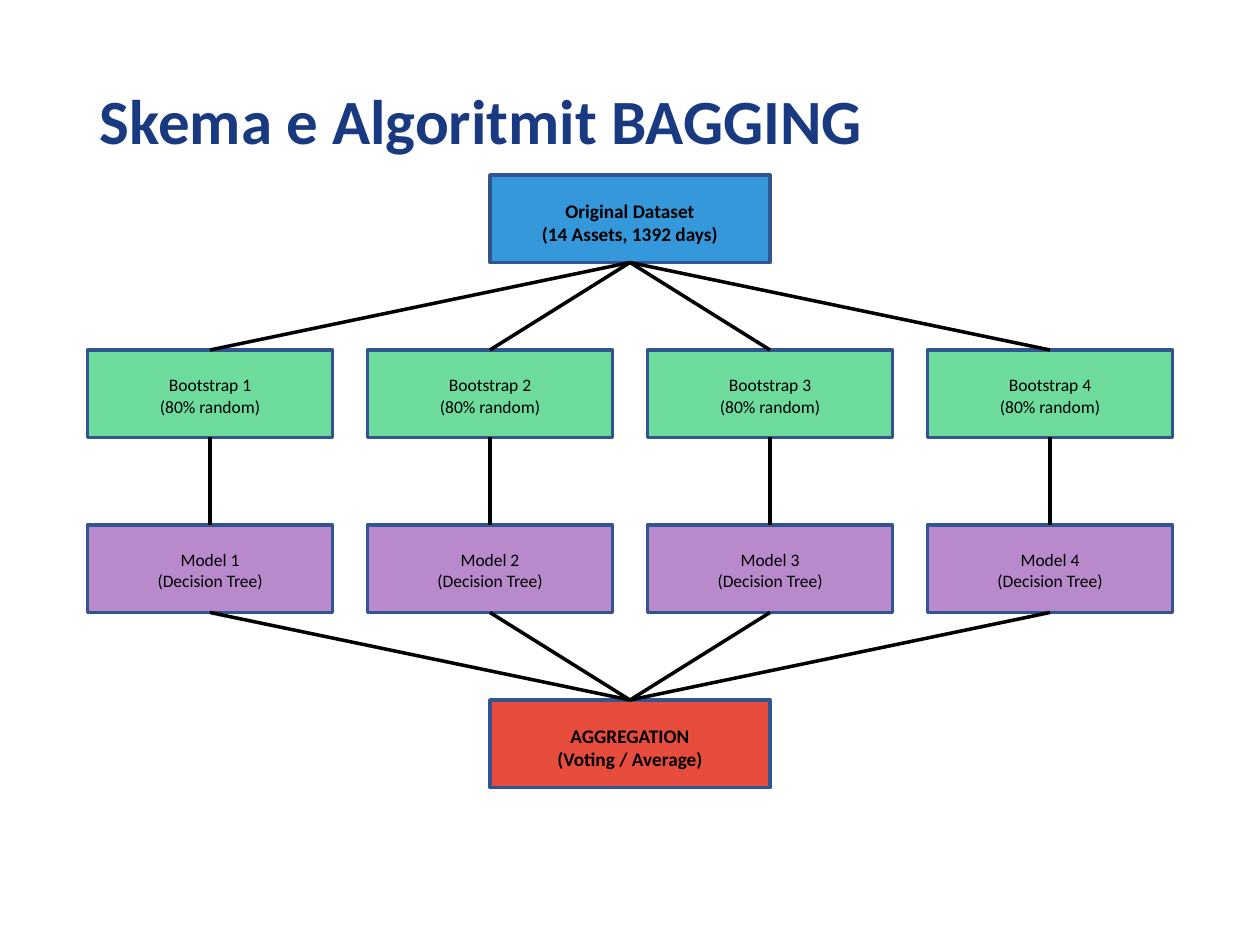
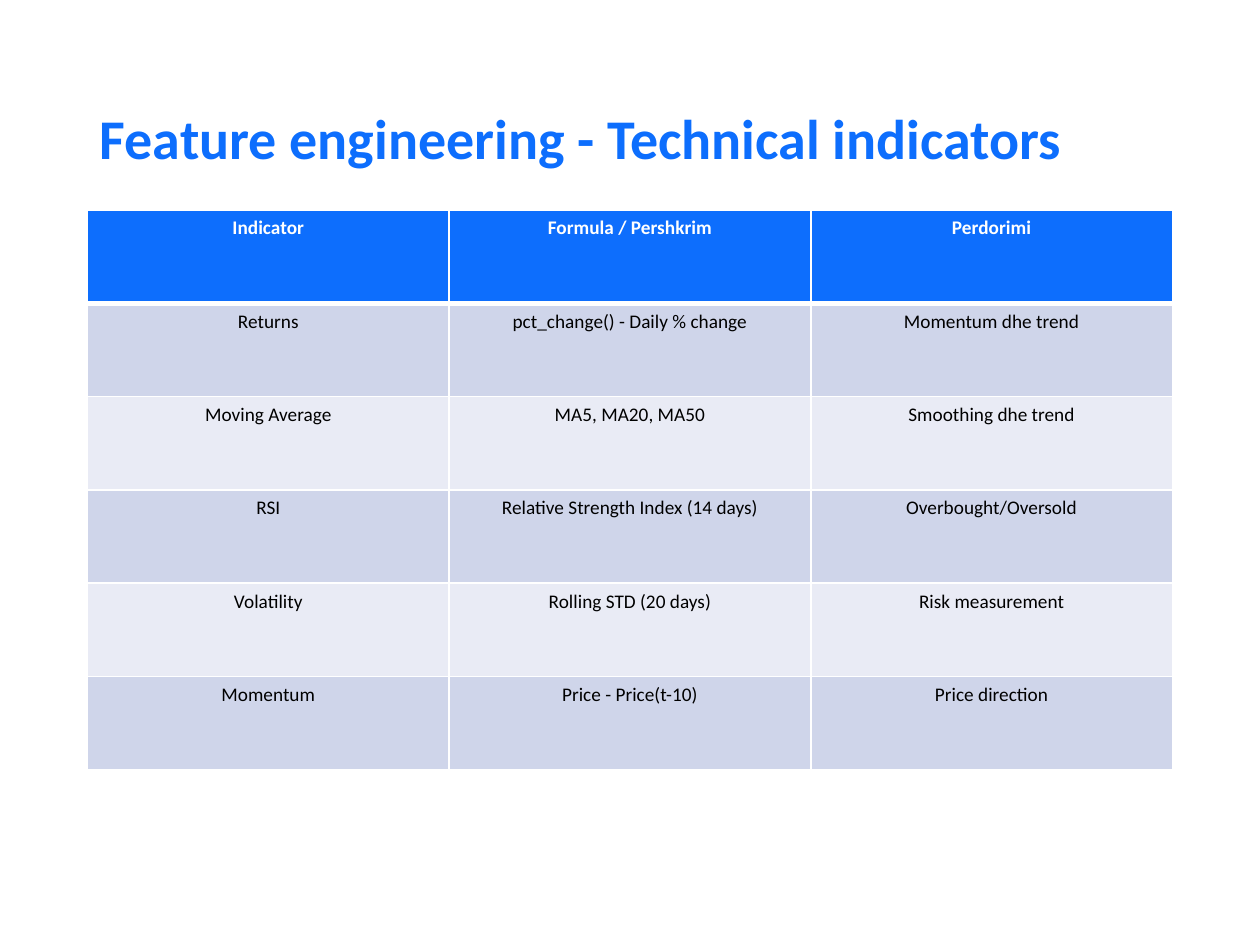
"""Builds two slides: the bagging scheme and the table of technical indicators."""
import pptx
import pptx.dml.color
import pptx.enum.shapes
import pptx.enum.text
import pptx.oxml
import pptx.oxml.ns
import pptx.util

EMU_PER_PX = 12700
FONT = "Calibri"
BLACK, WHITE = "000000", "FFFFFF"
NAVY, BLUE, OUTLINE = "193A80", "0D6EFD", "325491"
SKY, GREEN, PURPLE, RED = "3498DB", "2ECC71", "9B59B6", "E74C3C"
BAND_DARK, BAND_LIGHT = "CFD5EA", "E9EBF5"
MARGIN, CONTENT_WIDTH = 50, 620
TOP, BOTTOM = 0, 2
ROW_TOPS = (100, 200, 300, 400)
BOX_HEIGHT, BRANCH_WIDTH, BRANCH_STEP, BRANCHES = 50, 140, 160, 4
HUB_LEFT, HUB_WIDTH = 280, 160
INDICATORS = (
    ("Indicator", "Formula / Pershkrim", "Perdorimi"),
    ("Returns", "pct_change() - Daily % change", "Momentum dhe trend"),
    ("Moving Average", "MA5, MA20, MA50", "Smoothing dhe trend"),
    ("RSI", "Relative Strength Index (14 days)", "Overbought/Oversold"),
    ("Volatility", "Rolling STD (20 days)", "Risk measurement"),
    ("Momentum", "Price - Price(t-10)", "Price direction"),
)


def px(length):
    return pptx.util.Emu(round(length * EMU_PER_PX))


def color(code):
    return pptx.dml.color.RGBColor.from_string(code)


def fill_solid(target, code, opacity=100):
    target.fill.solid()
    target.fill.fore_color.rgb = color(code)
    if opacity < 100:
        tint = target.fill._xPr.find(".//" + pptx.oxml.ns.qn("a:srgbClr"))
        alpha = pptx.oxml.parse_xml(f'<a:alpha {pptx.oxml.ns.nsdecls("a")} val="{opacity * 1000}"/>')
        tint.append(alpha)


def write(frame, lines, size, code, bold=False, centered=True):
    frame.word_wrap = True
    frame.text = "\n".join(lines)
    for para in frame.paragraphs:
        font = para.font
        font.name, font.size, font.bold = FONT, pptx.util.Pt(size), bold
        font.color.rgb = color(code)
        align = pptx.enum.text.PP_ALIGN
        para.alignment = align.CENTER if centered else align.LEFT


def add_title(page, text, top, size, code):
    box = page.shapes.add_textbox(px(MARGIN), px(top), px(CONTENT_WIDTH), px(104))
    write(box.text_frame, [text], size, code, bold=True, centered=False)
    box.text_frame.vertical_anchor = pptx.enum.text.MSO_ANCHOR.MIDDLE
    box.text_frame.paragraphs[0].line_spacing = 0.9


def add_box(page, left, top, width, lines, fill, size=10, bold=False, opacity=100):
    box = page.shapes.add_shape(pptx.enum.shapes.MSO_SHAPE.RECTANGLE,
                                px(left), px(top), px(width), px(BOX_HEIGHT))
    box.shadow.inherit = False
    fill_solid(box, fill, opacity)
    box.line.color.rgb = color(OUTLINE)
    box.line.width = pptx.util.Pt(2)
    frame = box.text_frame
    frame.vertical_anchor = pptx.enum.text.MSO_ANCHOR.TOP
    frame.margin_top, frame.margin_bottom = px(14), px(0)
    write(frame, lines, size, BLACK, bold)
    return box


def add_hub(page, top, lines, fill):
    return add_box(page, HUB_LEFT, top, HUB_WIDTH, lines, fill, size=11, bold=True)


def join(page, upper, lower):
    line = page.shapes.add_connector(pptx.enum.shapes.MSO_CONNECTOR.STRAIGHT, 0, 0, 0, 0)
    line.begin_connect(upper, BOTTOM)
    line.end_connect(lower, TOP)
    line.line.color.rgb = color(BLACK)
    line.line.width = pptx.util.Pt(2)
    line._element.spPr.append(pptx.oxml.parse_xml(f'<a:effectLst {pptx.oxml.ns.nsdecls("a")}/>'))


def set_borders(cell, bottom_width):
    properties = cell._tc.get_or_add_tcPr()
    for side, width in (("L", 1), ("R", 1), ("T", 1), ("B", bottom_width)):
        properties.append(pptx.oxml.parse_xml(
            f'<a:ln{side} {pptx.oxml.ns.nsdecls("a")} w="{pptx.util.Pt(width)}">'
            f'<a:solidFill><a:srgbClr val="{WHITE}"/></a:solidFill></a:ln{side}>'))


def add_table(page, rows, top, height):
    table = page.shapes.add_table(len(rows), len(rows[0]), px(MARGIN), px(top),
                                  px(CONTENT_WIDTH), px(height)).table
    for row_index, row in enumerate(rows):
        header = row_index == 0
        band = BAND_DARK if row_index % 2 else BAND_LIGHT
        for column_index, text in enumerate(row):
            cell = table.cell(row_index, column_index)
            set_borders(cell, 3 if header else 1)
            fill_solid(cell, BLUE if header else band)
            write(cell.text_frame, [text], 11, WHITE if header else BLACK, bold=header)


def build_scheme(page):
    add_title(page, "Skema e Algoritmit BAGGING", 19, 36, NAVY)
    dataset_top, bootstrap_top, model_top, aggregation_top = ROW_TOPS
    dataset = add_hub(page, dataset_top, ["Original Dataset", "(14 Assets, 1392 days)"], SKY)
    models = []
    for index in range(BRANCHES):
        left = MARGIN + index * BRANCH_STEP
        bootstrap = add_box(page, left, bootstrap_top, BRANCH_WIDTH,
                            [f"Bootstrap {index + 1}", "(80% random)"], GREEN, opacity=70)
        join(page, dataset, bootstrap)
        model = add_box(page, left, model_top, BRANCH_WIDTH,
                        [f"Model {index + 1}", "(Decision Tree)"], PURPLE, opacity=70)
        join(page, bootstrap, model)
        models.append(model)
    aggregation = add_hub(page, aggregation_top, ["AGGREGATION", "(Voting / Average)"], RED)
    for model in models:
        join(page, model, aggregation)


def build_indicators(page):
    add_title(page, "Feature engineering - Technical indicators", 29, 32, BLUE)
    add_table(page, INDICATORS, 120, 320)


def main():
    deck = pptx.Presentation()
    deck.slide_width, deck.slide_height = px(720), px(540)
    blank = deck.slide_layouts[6]
    for build in (build_scheme, build_indicators):
        build(deck.slides.add_slide(blank))
    deck.save("out.pptx")


if __name__ == "__main__":
    main()
